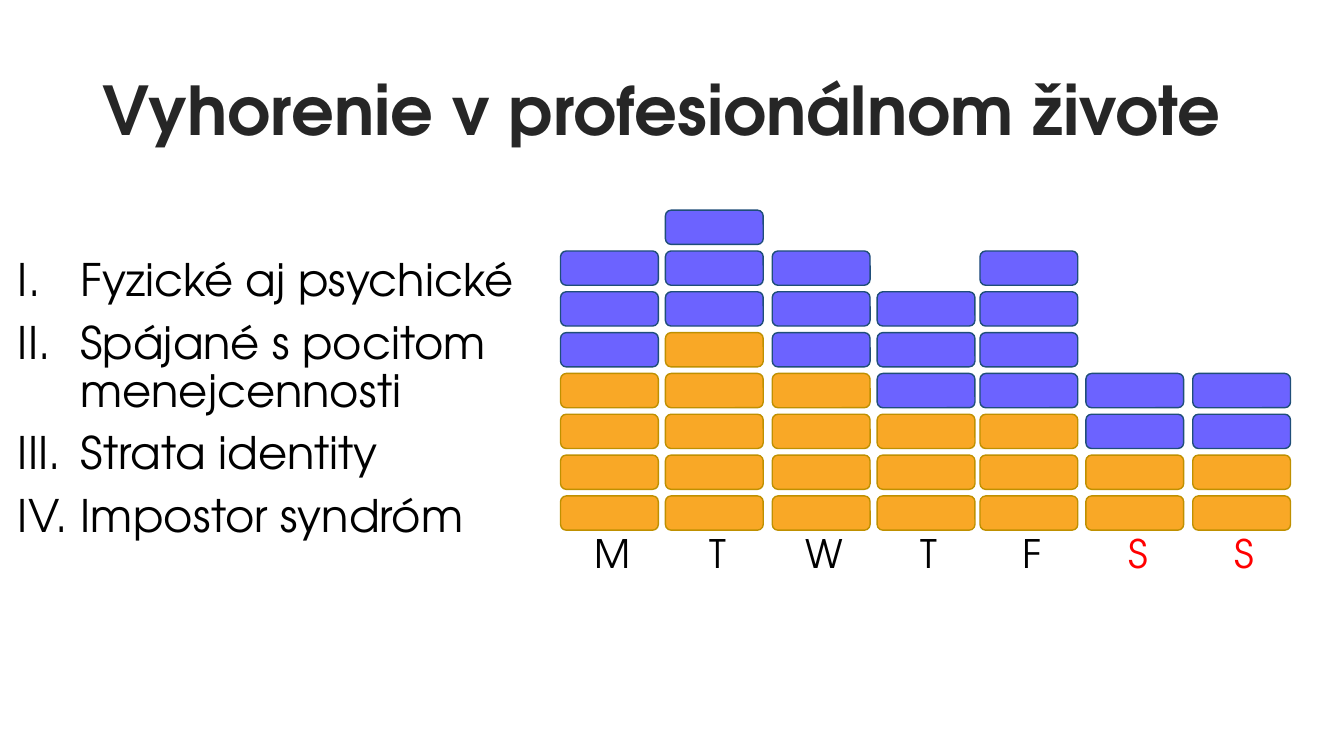
from dataclasses import dataclass

import lxml.etree
import pptx
import pptx.dml.color
import pptx.enum.shapes
import pptx.enum.text
import pptx.oxml.ns
import pptx.util

Inches = pptx.util.Inches
FONT = "TeX Gyre Adventor"
ORANGE, ORANGE_EDGE = "F9A826", "BF9000"
VIOLET, VIOLET_EDGE = "6C63FF", "1F4E79"
BLOCK_WIDTH, BLOCK_HEIGHT = 0.97, 0.34
BOTTOM_ROW, ROW_PITCH = 4.92, 0.405
LABEL_WIDTH, LABEL_SHIFT = 0.58, 0.03


@dataclass
class Day:
    letter: str
    left: float
    orange: int
    violet: int
    color: str = "000000"


DAYS = [
    Day("M", 5.56, 4, 3),
    Day("T", 6.6, 5, 3),
    Day("W", 7.66, 4, 3),
    Day("T", 8.7, 3, 3),
    Day("F", 9.72, 3, 4),
    Day("S", 10.77, 2, 2, "FF0000"),
    Day("S", 11.83, 2, 2, "FF0000"),
]
SYMPTOMS = [
    "Fyzické aj psychické",
    "Spájané s pocitom menejcennosti",
    "Strata identity",
    "Impostor syndróm",
]


def rgb(value: str) -> pptx.dml.color.RGBColor:
    return pptx.dml.color.RGBColor.from_string(value)


def apply(target, values: dict) -> None:
    for name, value in values.items():
        setattr(target, name, value)


def add_text(page, place: tuple, lines: list[str], size: int, color: str,
             frame_format: dict, para_format: dict, bold: bool = False):
    box = page.shapes.add_textbox(*map(Inches, place))
    frame = box.text_frame
    apply(frame, frame_format)
    for index, line in enumerate(lines):
        para = frame.add_paragraph() if index else frame.paragraphs[0]
        apply(para, para_format)
        if index:
            para.space_before = pptx.util.Pt(10)
        span = para.add_run()
        span.text = line
        apply(span.font, {"name": FONT, "size": pptx.util.Pt(size), "bold": bold})
        span.font.color.rgb = rgb(color)
    return frame


def add_roman_number(para) -> None:
    properties = para._p.get_or_add_pPr()
    properties.set("marL", str(Inches(0.62)))
    properties.set("indent", str(Inches(-0.62)))
    lxml.etree.SubElement(properties, pptx.oxml.ns.qn("a:buFont"), typeface="+mj-lt")
    lxml.etree.SubElement(properties, pptx.oxml.ns.qn("a:buAutoNum"), type="romanUcPeriod")


def add_block(page, left: float, top: float, fill: str, edge: str) -> None:
    block = page.shapes.add_shape(
        pptx.enum.shapes.MSO_SHAPE.ROUNDED_RECTANGLE,
        *map(Inches, (left, top, BLOCK_WIDTH, BLOCK_HEIGHT)))
    block.shadow.inherit = False
    block.fill.solid()
    block.fill.fore_color.rgb = rgb(fill)
    block.line.color.rgb = rgb(edge)
    block.line.width = pptx.util.Pt(1)


def add_day(page, day: Day) -> None:
    for row in range(day.orange + day.violet):
        colors = (ORANGE, ORANGE_EDGE) if row < day.orange else (VIOLET, VIOLET_EDGE)
        add_block(page, day.left, BOTTOM_ROW - row * ROW_PITCH, *colors)
    label_left = day.left + (BLOCK_WIDTH - LABEL_WIDTH) / 2 + LABEL_SHIFT
    add_text(page, (label_left, 5.2, LABEL_WIDTH, 0.57), [day.letter], 28, day.color,
             {"word_wrap": False}, {"alignment": pptx.enum.text.PP_ALIGN.CENTER})


def main() -> None:
    deck = pptx.Presentation()
    apply(deck, {"slide_width": Inches(13.33), "slide_height": Inches(7.5)})
    page = deck.slides.add_slide(deck.slide_layouts[6])

    # Title
    add_text(page, (0.92, 0.4, 11.5, 1.45), ["Vyhorenie v profesionálnom živote"],
             48, "262626",
             {"word_wrap": True, "vertical_anchor": pptx.enum.text.MSO_ANCHOR.MIDDLE},
             {"line_spacing": 0.9}, bold=True)

    # Numbered symptoms
    symptoms = add_text(page, (0.08, 2.51, 5.64, 4.03), SYMPTOMS, 32, "000000",
                        {"word_wrap": True}, {"line_spacing": 0.9})
    for para in symptoms.paragraphs:
        add_roman_number(para)

    # Week of stacked blocks
    for day in DAYS:
        add_day(page, day)

    deck.save("out.pptx")


if __name__ == "__main__":
    main()
